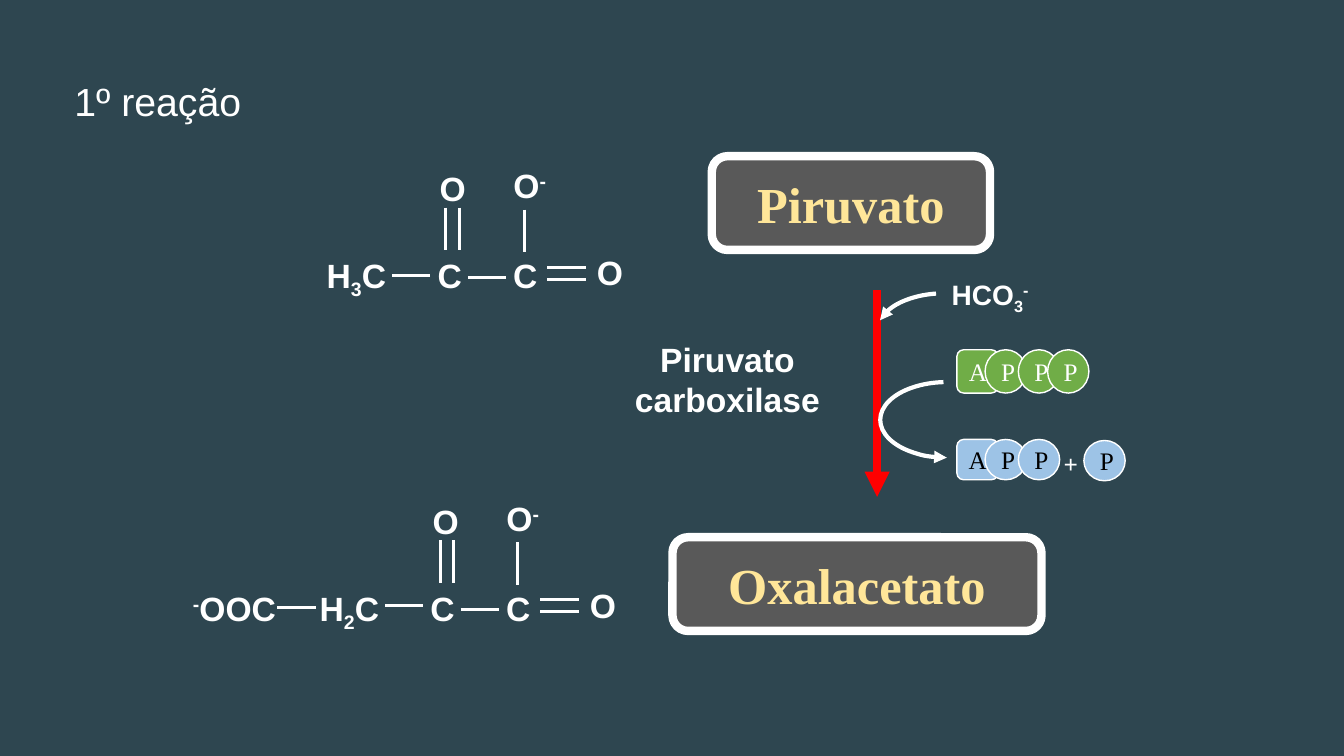
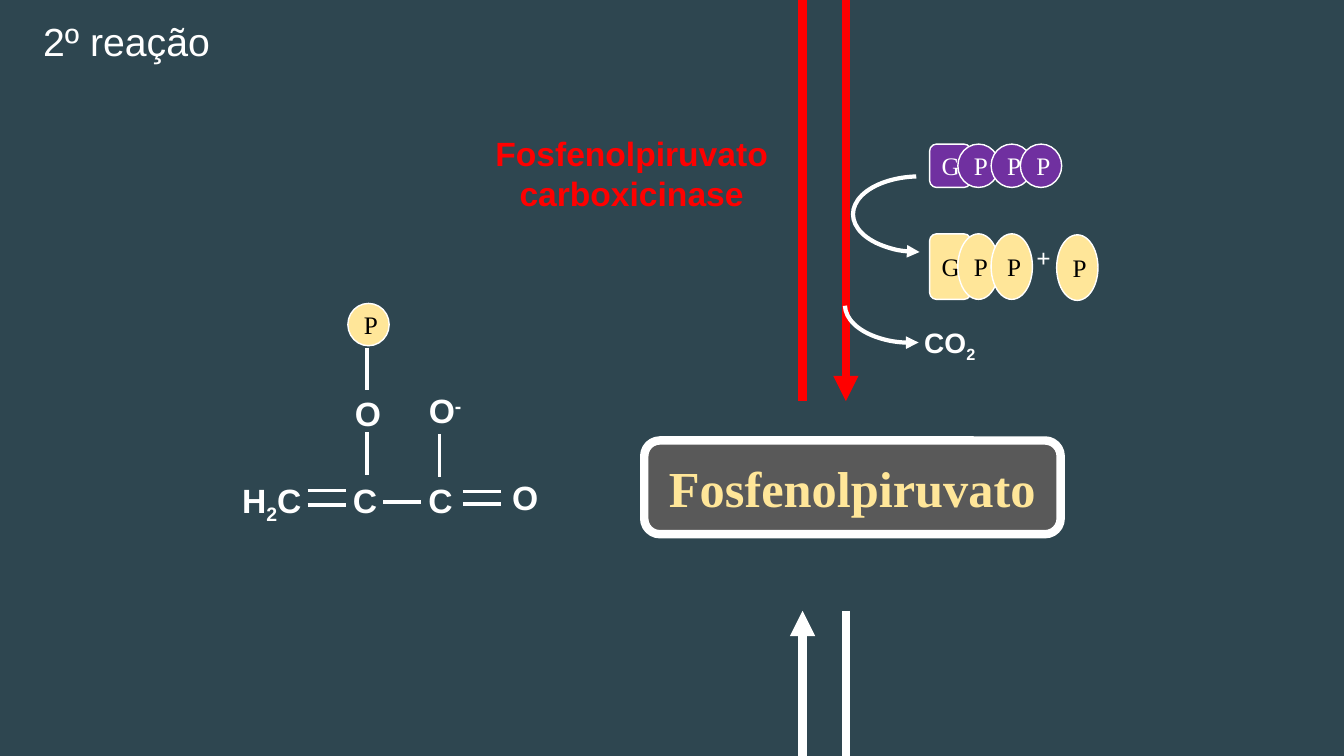
from dataclasses import dataclass

from lxml.etree import SubElement
from pptx import Presentation
from pptx.dml.color import RGBColor
from pptx.enum.shapes import MSO_CONNECTOR, MSO_SHAPE
from pptx.enum.text import MSO_ANCHOR, MSO_AUTO_SIZE, PP_ALIGN
from pptx.oxml.ns import qn
from pptx.util import Inches, Pt


@dataclass(frozen=True)
class Theme:
    background: str = "2E4650"
    white: str = "FFFFFF"
    black: str = "000000"
    red: str = "FF0000"
    card: str = "595959"
    cream: str = "FFE699"
    green: str = "70AD47"
    blue: str = "9DC3E6"
    purple: str = "7030A0"
    sans: str = "Arial"
    serif: str = "Times New Roman"
    title_size: float = 28
    card_size: float = 36
    formula_size: float = 24
    reagent_size: float = 20
    token_size: float = 18
    thick: float = 6
    curve: float = 3
    bond: float = 2.25
    thin: float = 1


THEME = Theme()
SLIDE_WIDTH, SLIDE_HEIGHT = 13.33, 7.5
SUB, SUP = -25000, 30000
TOKEN_WIDTH = 0.41
TOKEN_OFFSETS = (0, 0.28, 0.61, 0.9)
BOND_ACROSS, BOND_UP = 0.38, 0.42
ARC_UNITS_PER_DEGREE = 0.6

Formula = tuple[tuple[str, int], ...]
HYDROXYL: Formula = (("O", 0), ("-", SUP))


@dataclass(frozen=True)
class TextStyle:
    size: float
    color: str = THEME.white
    font: str = THEME.sans
    bold: bool = True


@dataclass(frozen=True)
class Box:
    left: float
    top: float
    width: float
    height: float

    def lengths(self) -> tuple:
        return tuple(Inches(v) for v in (self.left, self.top, self.width, self.height))


@dataclass(frozen=True)
class Molecule:
    x: float
    y: float
    end_group: Formula
    end_bonds: tuple[float, ...]
    oxygen_bonds: tuple[float, ...]


@dataclass(frozen=True)
class Nucleotide:
    base: str
    x: float
    y: float
    height: float
    fill: str
    ink: str
    phosphates: int


@dataclass(frozen=True)
class CurvedArrow:
    x: float
    y: float
    head_angle: float
    tail_angle: float


@dataclass(frozen=True)
class StraightArrow:
    x: float
    start: float
    end: float
    color: str
    pointed: bool = True


FORMULA = TextStyle(THEME.formula_size)
REAGENT = TextStyle(THEME.reagent_size)


def rgb(value: str) -> RGBColor:
    return RGBColor.from_string(value)


def write(frame, lines: tuple[Formula, ...], style: TextStyle) -> None:
    frame.word_wrap = True
    frame.auto_size = MSO_AUTO_SIZE.NONE
    for index, line in enumerate(lines):
        paragraph = frame.add_paragraph() if index else frame.paragraphs[0]
        paragraph.alignment = PP_ALIGN.CENTER
        font = paragraph.font
        font.name, font.size, font.bold = style.font, Pt(style.size), style.bold
        font.color.rgb = rgb(style.color)
        for text, baseline in line:
            run = paragraph.add_run()
            run.text = text
            if baseline:
                run._r.get_or_add_rPr().set("baseline", str(baseline))


def add_label(shapes, box: Box, style: TextStyle, *lines: Formula) -> None:
    label = shapes.add_textbox(*box.lengths())
    write(label.text_frame, lines, style)


def add_panel(shapes, preset, box: Box, fill: str, outline: float, text: str, style: TextStyle) -> None:
    panel = shapes.add_shape(preset, *box.lengths())
    panel.shadow.inherit = False
    panel.fill.solid()
    panel.fill.fore_color.rgb = rgb(fill)
    panel.line.color.rgb = rgb(THEME.white)
    panel.line.width = Pt(outline)
    panel.text_frame.vertical_anchor = MSO_ANCHOR.MIDDLE
    write(panel.text_frame, (((text, 0),),), style)


def add_card(shapes, box: Box, text: str) -> None:
    style = TextStyle(THEME.card_size, THEME.cream, THEME.serif)
    add_panel(shapes, MSO_SHAPE.ROUNDED_RECTANGLE, box, THEME.card, THEME.thick, text, style)


def add_token(shapes, preset, x: float, y: float, height: float, fill: str, ink: str, text: str) -> None:
    style = TextStyle(THEME.token_size, ink, THEME.serif, False)
    add_panel(shapes, preset, Box(x, y, TOKEN_WIDTH, height), fill, THEME.thin, text, style)


def add_arrowhead(shape, end: str) -> None:
    SubElement(shape._element.spPr.find(qn("a:ln")), qn(f"a:{end}")).set("type", "triangle")


def add_line(shapes, x1: float, y1: float, x2: float, y2: float,
             color: str = THEME.white, width: float = THEME.bond):
    line = shapes.add_connector(MSO_CONNECTOR.STRAIGHT, *(Inches(v) for v in (x1, y1, x2, y2)))
    line.line.color.rgb = rgb(color)
    line.line.width = Pt(width)
    SubElement(line._element.spPr, qn("a:effectLst"))
    return line


def add_straight_arrow(shapes, arrow: StraightArrow) -> None:
    line = add_line(shapes, arrow.x, arrow.start, arrow.x, arrow.end, arrow.color, THEME.thick)
    if arrow.pointed:
        add_arrowhead(line, "tailEnd")


def add_curved_arrow(shapes, arrow: CurvedArrow) -> None:
    arc = shapes.add_shape(MSO_SHAPE.ARC, *Box(arrow.x, arrow.y, 1.32, 0.75).lengths())
    arc.rotation = 180
    for index, degrees in enumerate((arrow.head_angle, arrow.tail_angle)):
        arc.adjustments[index] = degrees * ARC_UNITS_PER_DEGREE
    arc.shadow.inherit = False
    arc.fill.background()
    arc.line.color.rgb = rgb(THEME.white)
    arc.line.width = Pt(THEME.curve)
    add_arrowhead(arc, "headEnd")


def add_nucleotide(shapes, item: Nucleotide, released: bool = False) -> None:
    group = shapes.add_group_shape().shapes
    look = (item.height, item.fill, item.ink)
    for index, offset in enumerate(TOKEN_OFFSETS[:item.phosphates + 1]):
        preset = MSO_SHAPE.OVAL if index else MSO_SHAPE.ROUNDED_RECTANGLE
        add_token(group, preset, item.x + offset, item.y, *look, "P" if index else item.base)
    if released:
        add_token(group, MSO_SHAPE.OVAL, item.x + 1.26, item.y + 0.01, *look, "P")
        plus = TextStyle(THEME.token_size, THEME.white, THEME.serif)
        add_label(group, Box(item.x + 0.96, item.y + 0.04, 0.34, 0.3), plus, (("+", 0),))


def add_molecule(shapes, molecule: Molecule) -> None:
    x, y = molecule.x, molecule.y
    atoms = (
        (-1.1, 0, 0.87, molecule.end_group),
        (0, 0, 0.52, (("C", 0),)),
        (0.75, 0, 0.52, (("C", 0),)),
        (0.03, -0.86, 0.52, (("O", 0),)),
        (1.59, -0.03, 0.52, (("O", 0),)),
        (0.76, -0.89, 0.59, HYDROXYL),
    )
    for dx, dy, width, formula in atoms:
        add_label(shapes, Box(x + dx, y + dy, width, 0.5), FORMULA, formula)
    across = [(-0.31, dy) for dy in molecule.end_bonds] + [(0.44, 0.27), (1.23, 0.17), (1.23, 0.29)]
    for dx, dy in across:
        add_line(shapes, x + dx, y + dy, x + dx + BOND_ACROSS, y + dy)
    upright = [(dx, -0.42) for dx in molecule.oxygen_bonds] + [(1.0, -0.4)]
    for dx, dy in upright:
        add_line(shapes, x + dx, y + dy, x + dx, y + dy + BOND_UP)


def start_slide(deck, title: str, left: float, top: float):
    slide = deck.slides.add_slide(deck.slide_layouts[5])
    slide.background.fill.solid()
    slide.background.fill.fore_color.rgb = rgb(THEME.background)
    heading = slide.shapes.title
    heading.left, heading.top, heading.width, heading.height = Box(left, top, 2.47, 0.57).lengths()
    heading.text_frame.vertical_anchor = MSO_ANCHOR.TOP
    write(heading.text_frame, (((title, 0),),), TextStyle(THEME.title_size, bold=False))
    return slide.shapes


def build_first_reaction(deck) -> None:
    shapes = start_slide(deck, "1º reação", 0.33, 0.72)
    add_card(shapes, Box(7.06, 1.55, 2.76, 0.93), "Piruvato")
    add_card(shapes, Box(6.67, 5.33, 3.66, 0.93), "Oxalacetato")
    add_straight_arrow(shapes, StraightArrow(8.7, 2.88, 4.93, THEME.red))
    add_nucleotide(shapes, Nucleotide("A", 9.49, 3.47, 0.43, THEME.green, THEME.white, 3))
    add_nucleotide(shapes, Nucleotide("A", 9.49, 4.36, 0.4, THEME.blue, THEME.black, 2), True)
    for arrow in (CurvedArrow(8.73, 3.79, 270, 85), CurvedArrow(8.7, 2.91, 9.7, 78.4)):
        add_curved_arrow(shapes, arrow)
    add_label(shapes, Box(9.3, 2.7, 1.04, 0.44), REAGENT, (("HCO", 0), ("3", SUB), ("-", SUP)))
    add_label(shapes, Box(5.5, 3.31, 3.43, 0.91), FORMULA, (("Piruvato", 0),), (("carboxilase", 0),))

    pyruvate = Molecule(4.2, 2.48, (("H", 0), ("3", SUB), ("C", 0)), (0.25,), (0.22, 0.36))
    oxaloacetate = Molecule(4.13, 5.78, (("H", 0), ("2", SUB), ("C", 0)), (0.23,), (0.24, 0.37))
    for molecule in (pyruvate, oxaloacetate):
        add_molecule(shapes, molecule)
    add_label(shapes, Box(1.77, 5.78, 1.11, 0.5), FORMULA, (("-", SUP), ("OOC", 0)))
    add_line(shapes, 2.75, 6.03, 2.75 + BOND_ACROSS, 6.03)


def build_second_reaction(deck) -> None:
    shapes = start_slide(deck, "2º reação", 0.02, 0.12)
    add_card(shapes, Box(6.39, 4.37, 4.13, 0.93), "Fosfenolpiruvato")
    for arrow in (
        StraightArrow(8.39, 0, 3.98, THEME.red),
        StraightArrow(7.96, 3.98, 0, THEME.red, False),
        StraightArrow(8.39, 6.06, SLIDE_HEIGHT, THEME.white, False),
        StraightArrow(7.96, SLIDE_HEIGHT, 6.06, THEME.white),
    ):
        add_straight_arrow(shapes, arrow)
    add_nucleotide(shapes, Nucleotide("G", 9.22, 1.43, 0.43, THEME.purple, THEME.white, 3))
    add_nucleotide(shapes, Nucleotide("G", 9.22, 2.32, 0.65, THEME.cream, THEME.black, 2), True)
    for arrow in (CurvedArrow(8.46, 1.75, 270, 85), CurvedArrow(8.38, 2.65, 259.3, 359.3)):
        add_curved_arrow(shapes, arrow)
    add_label(shapes, Box(8.9, 3.18, 1.04, 0.44), REAGENT, (("CO", 0), ("2", SUB)))
    add_label(shapes, Box(4.55, 1.27, 3.43, 0.91), TextStyle(THEME.formula_size, THEME.red),
              (("Fosfenolpiruvato carboxicinase", 0),))

    add_molecule(shapes, Molecule(3.36, 4.71, (("H", 0), ("2", SUB), ("C", 0)), (0.16, 0.3), (0.28,)))
    add_line(shapes, 3.64, 3.45, 3.64, 3.45 + BOND_UP)
    add_token(shapes, MSO_SHAPE.OVAL, 3.45, 3.01, 0.42, THEME.cream, THEME.black, "P")


def main() -> None:
    deck = Presentation()
    deck.slide_width, deck.slide_height = Inches(SLIDE_WIDTH), Inches(SLIDE_HEIGHT)
    build_first_reaction(deck)
    build_second_reaction(deck)
    deck.save("out.pptx")


if __name__ == "__main__":
    main()
